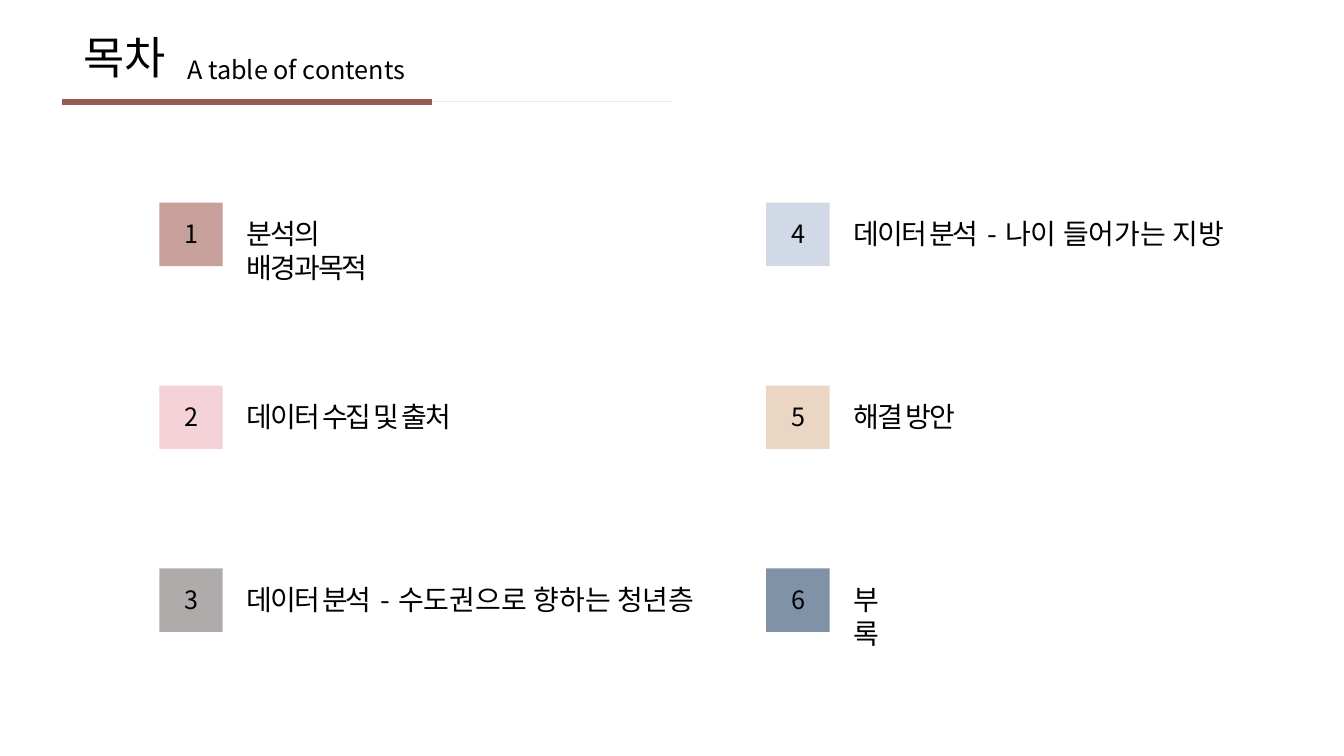
from pptx import Presentation
from pptx import util as u
from pptx.dml.color import RGBColor
from pptx.enum import shapes, text
from pptx.oxml.ns import qn
from lxml import etree

BLACK = RGBColor(0x00, 0x00, 0x00)
BLUSH = RGBColor(0xF1, 0xE7, 0xE6)
BRICK = RGBColor(0x97, 0x5B, 0x55)
ROSE = RGBColor(0xC7, 0x9F, 0x9B)
PINK = RGBColor(0xF5, 0xD2, 0xD8)
GRAY = RGBColor(0xAF, 0xAB, 0xAB)
MIST = RGBColor(0xD1, 0xD9, 0xE6)
SAND = RGBColor(0xEB, 0xD6, 0xC4)
STEEL = RGBColor(0x7F, 0x92, 0xA8)

TIGHT = -1.5  # letter spacing in points


class ContentsSlide:
    """Places elements on a grid of ten columns and ten rows to the inch."""

    font = "Noto Sans CJK KR"
    cell = u.Inches(0.1)

    def __init__(self, deck):
        self.slide = deck.slides.add_slide(deck.slide_layouts[6])

    def grid(self, *cells):
        return [round(n * self.cell) for n in cells]

    def rule(self, left, right, row, color, weight):
        start, end, height = self.grid(left, right, row)
        rule = self.slide.shapes.add_connector(
            shapes.MSO_CONNECTOR.STRAIGHT, start, height, end, height)
        rule.line.color.rgb = color
        rule.line.width = u.Pt(weight)
        etree.SubElement(rule._element.spPr, qn("a:effectLst"))

    def square(self, col, row, side, color):
        square = self.slide.shapes.add_shape(
            shapes.MSO_SHAPE.RECTANGLE, *self.grid(col, row, side, side))
        square.shadow.inherit = False
        square.fill.solid()
        square.fill.fore_color.rgb = color
        square.line.fill.background()

    def words(self, col, row, width, height, runs, size,
              align=text.PP_ALIGN.LEFT, wrap=False):
        """Each run is a pair of wording and letter spacing."""
        box = self.slide.shapes.add_textbox(*self.grid(col, row, width, height))
        box.text_frame.word_wrap = wrap
        line = box.text_frame.paragraphs[0]
        line.alignment = align
        for wording, spacing in runs:
            run = line.add_run()
            run.text = wording
            run.font.size = u.Pt(size)
            run.font.name = self.font
            run.font.color.rgb = BLACK
            props = run._r.get_or_add_rPr()
            etree.SubElement(props, qn("a:ea")).set("typeface", self.font)
            if spacing:
                props.set("spc", str(round(spacing * 100)))

    def entry(self, col, row, number, color, width, runs):
        self.square(col, row, 6.3, color)
        self.words(col + 1.4, row + 1.1, 3.5, 4, [(str(number), 0)], 18,
                   align=text.PP_ALIGN.CENTER)
        self.words(col + 7.7, row + 0.9, width, 4.4, runs, 20, wrap=True)


def main():
    deck = Presentation()
    deck.slide_width, deck.slide_height = u.Inches(13.33), u.Inches(7.5)
    contents = ContentsSlide(deck)

    # Heading with its two rules
    contents.rule(6.2, 66.7, 10.1, BLUSH, 0.5)
    contents.rule(6.2, 42.8, 10.1, BRICK, 4.5)
    contents.words(7.3, 2.5, 10.2, 6.4, [("목차", 0)], 32)
    contents.words(17.6, 4.9, 24.5, 4, [("A table of contents", 0)], 18)

    # Six entries, filled down two columns of three
    analysis = ("데이터 분석  -  ", TIGHT)
    entries = [
        (ROSE, 21.3, [("분석의 배경과목적", TIGHT)]),
        (PINK, 22.3, [("데이터 수집 및 출처", TIGHT)]),
        (GRAY, 46.7, [analysis, ("수도권으로 향하는 청년층", 0)]),
        (MIST, 50.9, [analysis, ("나이 들어가는 지방", 0)]),
        (SAND, 13.2, [("해결 방안", TIGHT)]),
        (STEEL, 6.7, [("부록", TIGHT)]),
    ]
    for index, (color, width, runs) in enumerate(entries):
        column, row = divmod(index, 3)
        contents.entry(15.8 + 60.2 * column, 20.1 + 18.15 * row,
                       index + 1, color, width, runs)

    deck.save("out.pptx")


if __name__ == "__main__":
    main()
